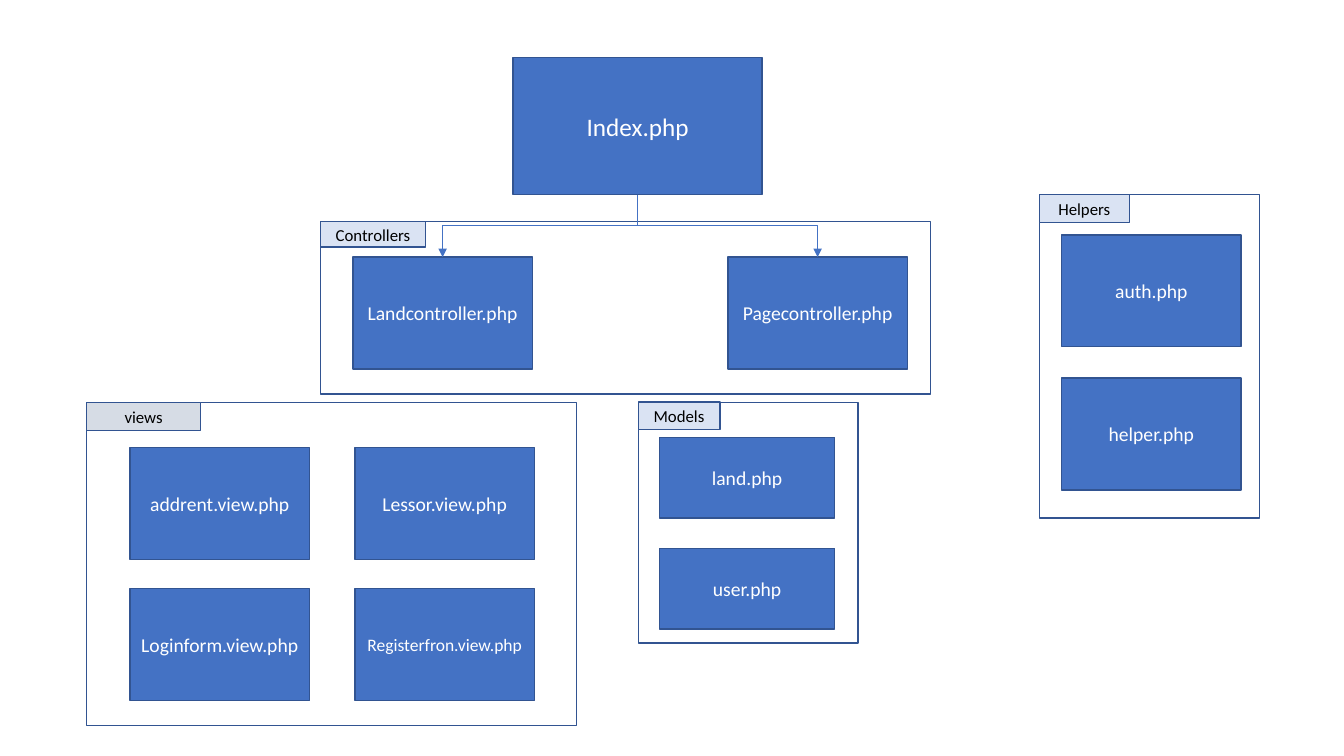
from lxml import etree
from pptx import Presentation
from pptx import util as u
from pptx.dml.color import RGBColor
from pptx.enum import shapes, text
from pptx.oxml.ns import qn

PX = 9144  # 100 px to the inch
BLUE = RGBColor(0x44, 0x72, 0xC4)
OUTLINE = RGBColor(0x32, 0x54, 0x91)
PALE = RGBColor(0xDA, 0xE3, 0xF3)
GREY = RGBColor(0xD6, 0xDC, 0xE5)
WHITE = RGBColor(0xFF, 0xFF, 0xFF)
BLACK = RGBColor(0x00, 0x00, 0x00)

prs = Presentation()
prs.slide_width, prs.slide_height = 1333 * PX, 750 * PX
s = prs.slides.add_slide(prs.slide_layouts[6])


def add_box(x, y, w, h, fill=None, label="", size=14, color=WHITE):
    """Outlined rectangle, hollow when fill is None, with a centred label."""
    sp = s.shapes.add_shape(shapes.MSO_SHAPE.RECTANGLE, x * PX, y * PX, w * PX, h * PX)
    sp.shadow.inherit = False
    sp.line.color.rgb = OUTLINE
    sp.line.width = u.Pt(1)
    if fill is None:
        sp.fill.background()
        return sp
    sp.fill.solid()
    sp.fill.fore_color.rgb = fill
    tf = sp.text_frame
    frame_format = dict(word_wrap=False, vertical_anchor=text.MSO_ANCHOR.MIDDLE,
                        margin_top=0, margin_bottom=0)
    for name, value in frame_format.items():
        setattr(tf, name, value)
    p = tf.paragraphs[0]
    p.alignment = text.PP_ALIGN.CENTER
    r = p.add_run()
    r.text = label
    r.font.name, r.font.size, r.font.color.rgb = "Calibri", u.Pt(size), color
    return sp


index = add_box(509, 57, 247, 136, BLUE, "Index.php", 18)

# title, frame, tab size, tab fill, card size, card columns, card rows, files by row
groups = [
    ("Controllers", (318, 220, 605, 171), (104, 25), PALE, (178, 111),
     (350, 722), (255,), ["Landcontroller.php", "Pagecontroller.php"]),
    ("Helpers", (1031, 193, 218, 321), (89, 28), PALE, (178, 111),
     (1053,), (233, 375), ["auth.php", "helper.php"]),
    ("views", (86, 399, 486, 321), (113, 28), GREY, (178, 111),
     (129, 352), (444, 584), ["addrent.view.php", "Lessor.view.php",
                              "Loginform.view.php", "Registerfron.view.php"]),
    ("Models", (633, 399, 218, 239), (81, 27), PALE, (174, 80),
     (654,), (434, 544), ["land.php", "user.php"]),
]
cards = {}
for title, frame, tab, tab_fill, card, columns, rows, files in groups:
    for i, file in enumerate(files):
        row, column = divmod(i, len(columns))
        size = 12.5 if len(file) > 20 else 14
        cards[file] = add_box(columns[column], rows[row], *card, BLUE, file, size)
    add_box(*frame)
    add_box(*frame[:2], *tab, tab_fill, title, 12, BLACK)

# Elbow arrows leave downwards, so each one is a turned elbow about its centre
for file, turn, flip in [("Landcontroller.php", 90, "0"), ("Pagecontroller.php", 270, "1")]:
    target = cards[file]
    c = s.shapes.add_connector(shapes.MSO_CONNECTOR.ELBOW, 0, 0, 0, 0)
    c.begin_connect(index, 2)
    c.end_connect(target, 0)
    drop, run = c.height, c.width
    middle_x, middle_y = c.left + run // 2, c.top + drop // 2
    place = dict(left=middle_x - drop // 2, top=middle_y - run // 2, width=drop, height=run)
    for name, value in place.items():
        setattr(c, name, value)
    c.line.color.rgb = BLUE
    c.line.width = u.Pt(0.5)
    sp_pr = c._element.spPr
    xfrm = sp_pr.find(qn("a:xfrm"))
    xfrm.set("rot", str(turn * 60000))
    xfrm.set("flipH", flip)
    etree.SubElement(sp_pr.find(qn("a:ln")), qn("a:tailEnd"), type="triangle")
    etree.SubElement(sp_pr, qn("a:effectLst"))

prs.save("out.pptx")
